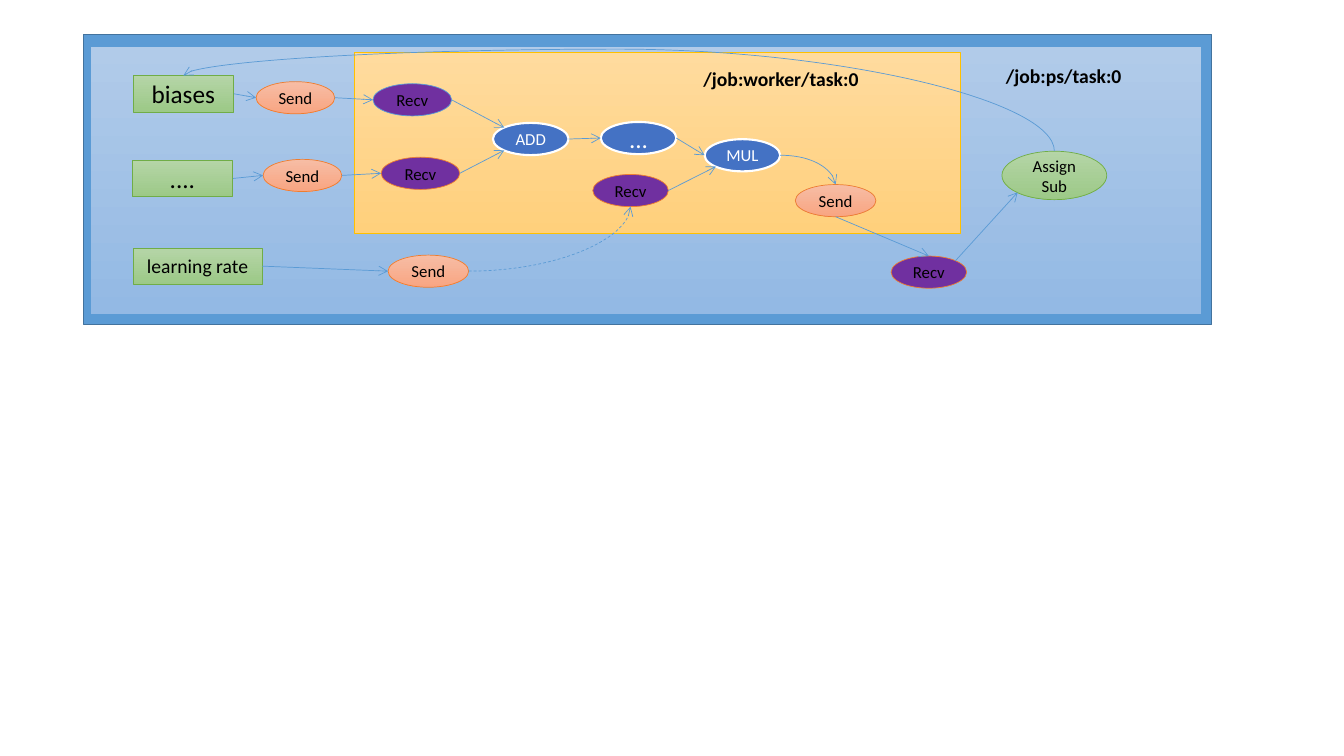
import lxml.etree
import pptx
import pptx.dml.color
import pptx.enum.dml
import pptx.enum.shapes
import pptx.enum.text
import pptx.oxml.ns
import pptx.util

Pt = pptx.util.Pt
qn = pptx.oxml.ns.qn
SHAPES = pptx.enum.shapes.MSO_SHAPE
CONNECTORS = pptx.enum.shapes.MSO_CONNECTOR

FONT = "Calibri"
BLUE = "5B9BD5"
DIAGONAL = 0.35
TOP, BOTTOM, LEFT, RIGHT = (0.5, 0), (0.5, 1), (0, 0.5), (1, 0.5)
TOP_LEFT, TOP_RIGHT, BOTTOM_LEFT = [
    (0.5 + across * DIAGONAL, 0.5 + down * DIAGONAL)
    for across, down in ((-1, -1), (1, -1), (-1, 1))
]

GREEN = (("B5D5A7", "9CC987"), "70AD47", 0.5, "000000")
ORANGE = (("F7BDA5", "F8A582"), "ED7D31", 0.5, "000000")
PURPLE = (("7030A0",), "ED7D31", 0.5, "000000")
PURPLE_BLUE = (("7030A0",), BLUE, 0.5, "000000")
OPERATION = (("4472C4",), "FFFFFF", 1.5, "FFFFFF")
PS_FRAME = ((BLUE,), "43739E", 1, "000000")
PS_AREA = (("B1CBE9", "93B9E4"), BLUE, 0.5, "000000")
WORKER_AREA = (("FFDB9E", "FFD07C"), "FFC000", 0.5, "000000")

AREAS = [
    (PS_FRAME, (59.8, 24.5, 805.7, 207.4)),
    (PS_AREA, (64.8, 33.1, 793.4, 191.5)),
    (WORKER_AREA, (253.4, 37.4, 432.7, 129.6)),
]
VARIABLES = {
    "biases": ("biases", 18, (95, 54, 72, 26)),
    "others": ("....", 18, (94.3, 114.5, 72, 26)),
    "rate": ("learning rate", 14, (95, 177.1, 92.2, 26)),
}
NODES = {
    "send_biases": ("Send", 12, ORANGE, (182.9, 58.3, 56.2, 23)),
    "send_rate": ("Send", 12, ORANGE, (277.2, 182.2, 57.6, 23)),
    "add": ("ADD", 12, OPERATION, (352.1, 87.8, 54, 23)),
    "more": ("...", 18, OPERATION, (429.1, 87.1, 54, 23)),
    "recv_rate": ("Recv", 12, PURPLE, (423.4, 124.6, 54, 23)),
    "mul": ("MUL", 12, OPERATION, (503.3, 99.4, 54, 23)),
    "assign": ("Assign\nSub", 12, GREEN, (715.7, 108, 74.9, 34.6)),
    "send_others": ("Send", 12, ORANGE, (187.9, 113.8, 56.2, 23)),
    "recv_biases": ("Recv", 12, PURPLE_BLUE, (266.4, 59.8, 56.2, 23)),
    "recv_others": ("Recv", 12, PURPLE, (272.2, 112.3, 56.2, 23)),
    "send_result": ("Send", 12, ORANGE, (568.1, 131.8, 57.6, 23)),
    "recv_result": ("Recv", 12, PURPLE, (636.5, 182.9, 54, 23)),
}
STRAIGHT_ARROWS = [
    ("biases", RIGHT, "send_biases", LEFT),
    ("others", RIGHT, "send_others", LEFT),
    ("rate", RIGHT, "send_rate", LEFT),
    ("send_biases", RIGHT, "recv_biases", LEFT),
    ("send_others", RIGHT, "recv_others", LEFT),
    ("recv_biases", RIGHT, "add", TOP_LEFT),
    ("recv_others", RIGHT, "add", BOTTOM_LEFT),
    ("add", RIGHT, "more", LEFT),
    ("more", RIGHT, "mul", LEFT),
    ("recv_rate", RIGHT, "mul", BOTTOM_LEFT),
    ("send_result", BOTTOM, "recv_result", TOP),
    ("recv_result", TOP_RIGHT, "assign", BOTTOM_LEFT),
]
LABELS = [
    ("/job:worker/task:0", (495.4, 44.6, 136.1, 24.5)),
    ("/job:ps/task:0", (711.4, 41.8, 136.1, 24.5)),
]


def rgb(value):
    """Turn a hex string into a colour."""
    return pptx.dml.color.RGBColor.from_string(value)


def write(frame, text, size, color, bold=False, align=None):
    """Write one paragraph for each line of text."""
    frame.text = text
    for para in frame.paragraphs:
        para.alignment = align
        para.font.name = FONT
        para.font.size = Pt(size)
        para.font.bold = bold
        para.font.color.rgb = rgb(color)


def add_block(page, kind, style, place, text="", size=12):
    """Add a filled shape with centred text."""
    fills, line, width, color = style
    box = page.shapes.add_shape(kind, *map(Pt, place))
    box.shadow.inherit = False
    if len(fills) == 1:
        box.fill.solid()
        box.fill.fore_color.rgb = rgb(fills[0])
    else:
        box.fill.gradient()
        box.fill.gradient_angle = 270
        for stop, fill in zip(box.fill.gradient_stops, fills):
            stop.color.rgb = rgb(fill)
    box.line.color.rgb = rgb(line)
    box.line.width = Pt(width)
    if text:
        frame = box.text_frame
        frame.margin_left = frame.margin_right = 0
        frame.margin_top = frame.margin_bottom = 0
        frame.vertical_anchor = pptx.enum.text.MSO_ANCHOR.MIDDLE
        write(frame, text, size, color, align=pptx.enum.text.PP_ALIGN.CENTER)
    return box


def add_label(page, text, place):
    """Add a bold task name."""
    frame = page.shapes.add_textbox(*map(Pt, place)).text_frame
    frame.word_wrap = True
    frame.auto_size = pptx.enum.text.MSO_AUTO_SIZE.SHAPE_TO_FIT_TEXT
    write(frame, text, 14, "000000", bold=True)


def site(box, spot):
    """Give the point at a relative spot of a shape."""
    return (int(box.left + spot[0] * box.width), int(box.top + spot[1] * box.height))


def add_arrow(page, start, end, kind=CONNECTORS.STRAIGHT):
    """Add a thin connector with an open arrowhead at its end."""
    arrow = page.shapes.add_connector(kind, *start, *end)
    arrow.line.color.rgb = rgb(BLUE)
    arrow.line.width = Pt(0.5)
    properties = arrow.element.spPr
    lxml.etree.SubElement(properties.find(qn("a:ln")), qn("a:tailEnd"), type="arrow")
    lxml.etree.SubElement(properties, qn("a:effectLst"))
    return arrow


def add_quarter_arrow(page, start, end):
    """Add an arrow that leaves sideways and arrives vertically."""
    arrow = add_arrow(page, start, end, CONNECTORS.CURVE)
    arrow.element.spPr.find(qn("a:prstGeom")).set("prst", "curvedConnector2")
    return arrow


def add_feedback_arrow(page, start, end, bend):
    """Add a curve that rises from start and drops onto end at its left."""
    middle_x, middle_y = (start[0] + end[0]) // 2, (start[1] + end[1]) // 2
    half_rise, half_run = (start[1] - end[1]) // 2, (start[0] - end[0]) // 2
    arrow = add_arrow(
        page,
        (middle_x - half_rise, middle_y + half_run),
        (middle_x + half_rise, middle_y - half_run),
        CONNECTORS.CURVE,
    )
    properties = arrow.element.spPr
    properties.find(qn("a:xfrm")).set("rot", str(270 * 60000))
    guides = properties.find(qn("a:prstGeom")).find(qn("a:avLst"))
    lxml.etree.SubElement(guides, qn("a:gd"), name="adj1", fmla=f"val {int(bend * 100000)}")


def main():
    """Build the slide and save it."""
    deck = pptx.Presentation()
    deck.slide_width, deck.slide_height = Pt(960), Pt(540)
    page = deck.slides.add_slide(deck.slide_layouts[6])
    for style, place in AREAS:
        add_block(page, SHAPES.RECTANGLE, style, place)
    boxes = {}
    for name, (text, size, place) in VARIABLES.items():
        boxes[name] = add_block(page, SHAPES.RECTANGLE, GREEN, place, text, size)
    for name, (text, size, style, place) in NODES.items():
        boxes[name] = add_block(page, SHAPES.OVAL, style, place, text, size)
    for source, leave, target, arrive in STRAIGHT_ARROWS:
        add_arrow(page, site(boxes[source], leave), site(boxes[target], arrive))
    rate_arrow = add_quarter_arrow(
        page, site(boxes["send_rate"], RIGHT), site(boxes["recv_rate"], BOTTOM)
    )
    rate_arrow.line.dash_style = pptx.enum.dml.MSO_LINE.DASH
    add_quarter_arrow(page, site(boxes["mul"], RIGHT), site(boxes["send_result"], TOP))
    add_feedback_arrow(page, site(boxes["assign"], TOP), site(boxes["biases"], TOP), 1.35)
    for text, place in LABELS:
        add_label(page, text, place)
    deck.save("out.pptx")


main()
